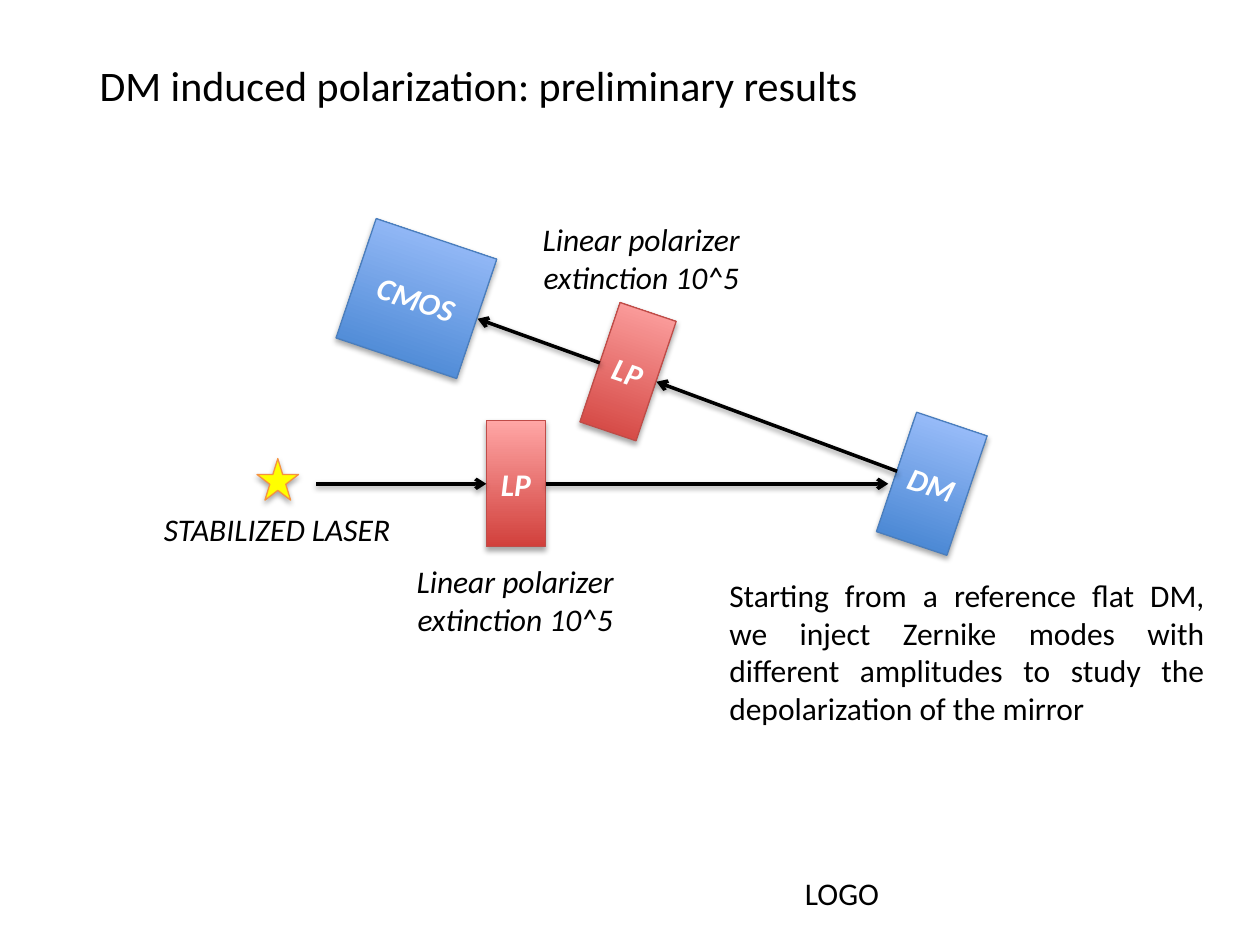
"""Build the slide on DM induced polarization: an optical bench sketch with labels."""
import pptx
import pptx.dml.color
import pptx.enum.dml
import pptx.enum.shapes
import pptx.enum.text
import pptx.oxml.ns
import pptx.util
from lxml import etree

PX = 9144
HUES = {
    "ink": "000000", "white": "FFFFFF", "star": "FFFF00", "rim": "F69240",
    "red": "D1403C", "pink": "FFA6A5", "brick": "BF4C48",
    "blue": "3F80CE", "sky": "A4C4FF", "navy": "4B7EBC",
}
RGB = {name: pptx.dml.color.RGBColor.from_string(val) for name, val in HUES.items()}
KIND = pptx.enum.shapes.MSO_SHAPE
ALIGN = pptx.enum.text.PP_ALIGN
MID = pptx.enum.text.MSO_ANCHOR.MIDDLE
TOP = pptx.enum.text.MSO_ANCHOR.TOP
GROW = pptx.enum.text.MSO_AUTO_SIZE.SHAPE_TO_FIT_TEXT
FIXED = pptx.enum.text.MSO_AUTO_SIZE.NONE
qn = pptx.oxml.ns.qn


def write(shape, text, hue, align, frame, font):
    body = shape.text_frame
    body.text = text
    for key, val in {"word_wrap": True, **frame}.items():
        setattr(body, key, val)
    para = body.paragraphs[0]
    para.alignment = align
    run = para.runs[0]
    for key, val in {"name": "Calibri", "size": pptx.util.Pt(18), **font}.items():
        setattr(run.font, key, val)
    run.font.color.rgb = RGB[hue]


def shade(shape, dist, alpha):
    glow = etree.SubElement(shape.element.spPr, qn("a:effectLst"))
    drop = etree.SubElement(glow, qn("a:outerShdw"), blurRad="40000",
                            dist=str(dist), dir="5400000", rotWithShape="0")
    tone = etree.SubElement(drop, qn("a:srgbClr"), val=HUES["ink"])
    etree.SubElement(tone, qn("a:alpha"), val=str(alpha * 1000))


deck = pptx.Presentation()
deck.slide_width, deck.slide_height = 1000 * PX, 750 * PX
slide = deck.slides.add_slide(deck.slide_layouts[5])

title = slide.shapes.title
for key, val in {"left": 69, "top": 42, "width": 636, "height": 50}.items():
    setattr(title, key, val * PX)
write(title, "DM induced polarization: preliminary results", "ink", ALIGN.LEFT,
      {"vertical_anchor": TOP, "auto_size": GROW}, {"size": pptx.util.Pt(24)})

red, blue = ("red", "pink", "brick"), ("blue", "sky", "navy")
parts = {}
for name, text, spot, turn, tint in [
    ("top lp", "LP", (475, 245, 47, 100), 18.6, red),
    ("low lp", "LP", (386, 334, 47, 100), 0, red),
    ("dm", "DM", (710, 334, 59, 100), 18.6, blue),
    ("cmos", "CMOS", (280, 187, 101, 100), 18.6, blue),
]:
    part = slide.shapes.add_shape(KIND.RECTANGLE, *(n * PX for n in spot))
    part.rotation = turn
    part.fill.gradient()
    part.fill.gradient_angle = 90
    for stop, hue in zip(part.fill.gradient_stops, tint):
        stop.color.rgb = RGB[hue]
    part.line.color.rgb = RGB[tint[2]]
    part.line.width = pptx.util.Pt(0.75)
    shade(part, 23000, 35)
    write(part, text, "white", ALIGN.CENTER,
          {"vertical_anchor": MID, "auto_size": FIXED}, {"bold": True, "italic": True})
    parts[name] = part

star = slide.shapes.add_shape(KIND.STAR_5_POINT, *(n * PX for n in (204, 364, 33, 33)))
star.fill.solid()
star.fill.fore_color.rgb = RGB["star"]
star.line.color.rgb = RGB["rim"]
star.line.width = pptx.util.Pt(0.75)
shade(star, 23000, 35)

for ends, tail, head in [
    ((251, 384, 386, 384), None, "low lp"),
    ((433, 384, 705, 384), "low lp", None),
    ((712, 374, 521, 303), "dm", "top lp"),
    ((476, 288, 379, 253), "top lp", "cmos"),
]:
    spots = [n * PX for n in ends]
    beam = slide.shapes.add_connector(pptx.enum.shapes.MSO_CONNECTOR.STRAIGHT, *spots)
    if tail:
        beam.begin_connect(parts[tail], 3 if tail == "low lp" else 1)
    if head:
        beam.end_connect(parts[head], 1 if head == "low lp" else 3)
    for key, val in zip(("begin_x", "begin_y", "end_x", "end_y"), spots):
        setattr(beam, key, val)
    beam.line.color.rgb = RGB["ink"]
    beam.line.width = pptx.util.Pt(2)
    etree.SubElement(beam.element.spPr.find(qn("a:ln")), qn("a:tailEnd"), type="arrow")
    shade(beam, 20000, 38)

lens = "Linear polarizer extinction 10^5"
goal = ("Starting from a reference flat DM, we inject Zernike modes with different "
        "amplitudes to study the depolarization of the mirror")
for text, spot, align, slant in [
    ("STABILIZED LASER", (90, 400, 260, 40), ALIGN.CENTER, True),
    (lens, (279, 441, 260, 71), ALIGN.CENTER, True),
    (lens, (379, 170, 260, 71), ALIGN.CENTER, True),
    (goal, (569, 452, 397, 131), ALIGN.JUSTIFY, False),
    ("LOGO", (629, 689, 99, 40), ALIGN.LEFT, False),
]:
    label = slide.shapes.add_textbox(*(n * PX for n in spot))
    write(label, text, "ink", align, {"auto_size": GROW}, {"italic": slant})

deck.save("out.pptx")
